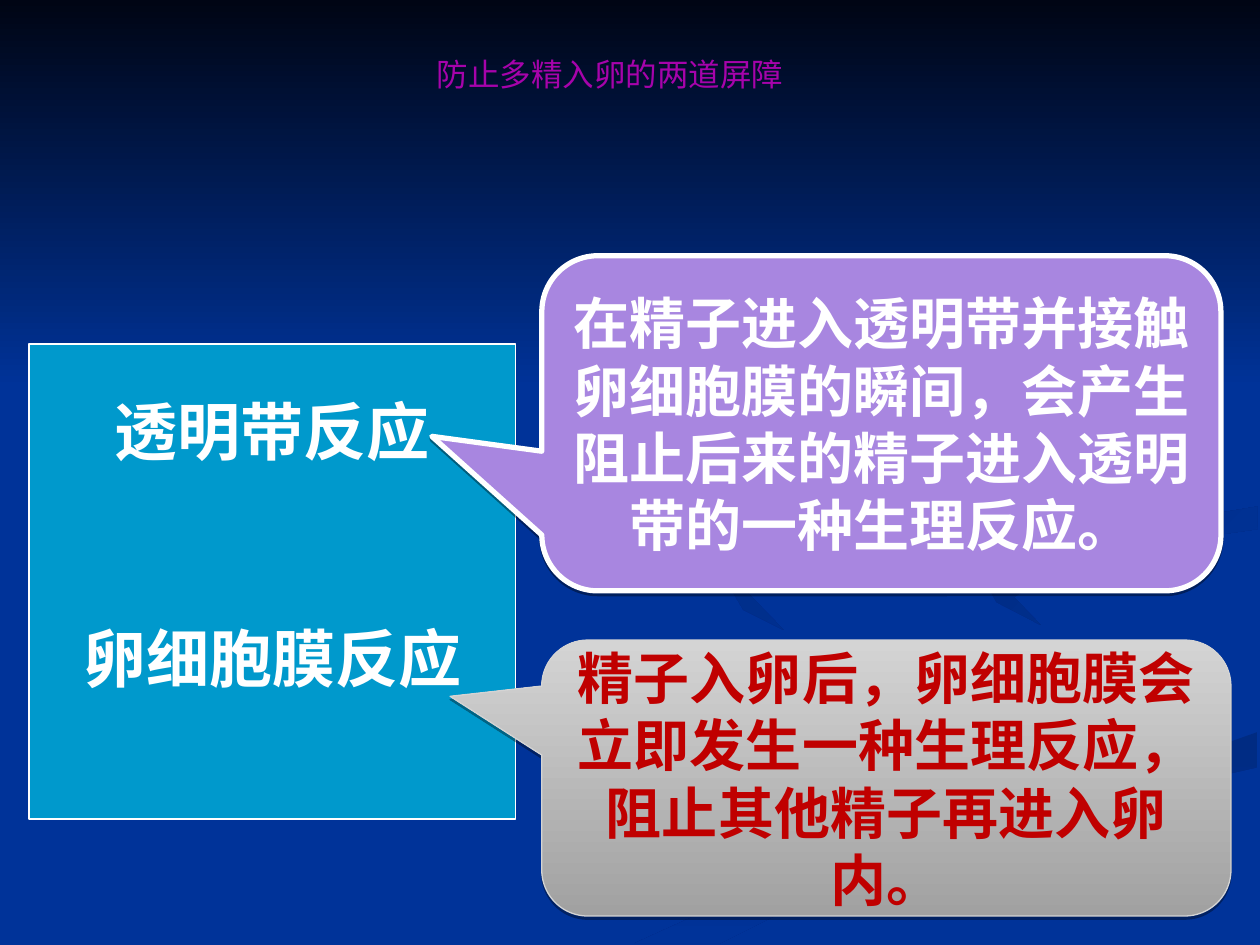
from lxml import etree
from pptx import Presentation
from pptx.dml.color import RGBColor
from pptx.enum.shapes import MSO_SHAPE
from pptx.enum.text import MSO_ANCHOR, PP_ALIGN
from pptx.oxml.ns import qn
from pptx.util import Inches, Pt

NAVY = RGBColor(0x00, 0x33, 0x99)
NIGHT = RGBColor(0x00, 0x05, 0x14)
DUSK = RGBColor(0x00, 0x2B, 0x82)
MAGENTA = RGBColor(0xA6, 0x03, 0xAB)
CYAN = RGBColor(0x00, 0x99, 0xCC)
LILAC = RGBColor(0xA8, 0x86, 0xE0)
GREY = RGBColor(0xA1, 0xA1, 0xA1)
SILVER = RGBColor(0xD4, 0xD4, 0xD4)
RED = RGBColor(0xC0, 0x00, 0x00)
WHITE = RGBColor(0xFF, 0xFF, 0xFF)

SANS = "Noto Sans CJK SC"
SERIF = "Times New Roman"

# Faint swooshes behind the content: outline and gradient angle
SWOOSHES = [
    ([(5.03, 7.49), (5.71, 7.49), (6.49, 7.1), (7.52, 6.72), (8.61, 6.4),
      (9.98, 6.09), (9.98, 5.81), (9.5, 5.98), (8.31, 6.29), (6.96, 6.69),
      (5.69, 7.19)], 270),
    ([(7.81, 4.6), (7.91, 4.78), (8.26, 4.96), (8.05, 4.74), (8.43, 4.48),
      (9.36, 4.29), (9.98, 4.2), (9.98, 4.02), (8.65, 4.24), (7.99, 4.42)], 315),
    ([(6.83, 4.3), (7.86, 4.12), (8.67, 3.84), (8.94, 3.44), (8.64, 2.91),
      (7.62, 2.33), (8.46, 2.79), (8.89, 3.35), (8.52, 3.74), (7.33, 4.04),
      (6.25, 4.26), (5.77, 4.62), (5.9, 4.84), (6.22, 5), (5.93, 4.7),
      (6.14, 4.48)], 315),
]


def write(shape, *lines, font=SERIF, size=32, color=WHITE, bold=True,
          line=1.2, gap=0, anchor=MSO_ANCHOR.MIDDLE, bottom=0.05):
    frame = shape.text_frame
    frame.word_wrap = True
    frame.vertical_anchor = anchor
    frame.margin_top, frame.margin_bottom = Inches(0.05), Inches(bottom)
    for i, words in enumerate(lines):
        para = frame.add_paragraph() if i else frame.paragraphs[0]
        para.alignment = PP_ALIGN.CENTER
        para.line_spacing = Pt(round(size * line, 1))
        # Keep closing marks inside the text area
        para._element.get_or_add_pPr().set("hangingPunct", "0")
        if i:
            para.space_before = Pt(gap)
        run = para.add_run()
        run.text = words
        run.font.name, run.font.size = font, Pt(size)
        run.font.bold, run.font.color.rgb = bold, color
        east = etree.SubElement(run.font._element, qn("a:ea"))
        east.set("typeface", SANS)


def blend(shape, start, end, angle):
    shape.fill.gradient()
    shape.fill.gradient_angle = angle
    for stop, color in zip(shape.fill.gradient_stops, (start, end)):
        stop.color.rgb = color


def box(slide, kind, place, fill=None, line=None, width=0.75):
    shape = slide.shapes.add_shape(kind, *map(Inches, place))
    shape.shadow.inherit = False
    if fill is not None:
        shape.fill.solid()
        shape.fill.fore_color.rgb = fill
    if line is None:
        shape.line.fill.background()
    else:
        shape.line.color.rgb = line
        shape.line.width = Pt(width)
    return shape


def shade(shape, dist, alpha):
    effects = shape._element.spPr.find(qn("a:effectLst"))
    outer = etree.SubElement(effects, qn("a:outerShdw"), blurRad="0",
                             dist=str(Pt(dist)), dir="5400000", rotWithShape="0")
    color = etree.SubElement(outer, qn("a:srgbClr"), val="000000")
    etree.SubElement(color, qn("a:alpha"), val=str(alpha * 1000))


def callout(slide, place, tip, shadow, **style):
    shape = box(slide, MSO_SHAPE.ROUNDED_RECTANGULAR_CALLOUT, place, **style)
    for i, value in enumerate((*tip, 0.167)):
        shape.adjustments[i] = value
    shade(shape, *shadow)
    return shape


def swoosh(slide, points, angle):
    spots = [(Inches(x), Inches(y)) for x, y in points]
    pen = slide.shapes.build_freeform(*spots[0])
    pen.add_line_segments(spots[1:], close=True)
    shape = pen.convert_to_shape()
    shape.shadow.inherit = False
    shape.line.fill.background()
    blend(shape, DUSK, NAVY, angle)


def scene(slide):
    slide.background.fill.solid()
    slide.background.fill.fore_color.rgb = NAVY
    for points, angle in SWOOSHES:
        swoosh(slide, points, angle)
    sky = box(slide, MSO_SHAPE.RECTANGLE, (0, 0, 10, 3.08))
    blend(sky, NIGHT, NAVY, 270)


def head(slide, words):
    title = slide.shapes.title
    title.left, title.top = Inches(1.14), Inches(0.36)
    title.width, title.height = Inches(7.4), Inches(1.5)
    write(title, words, font=SANS, size=18, color=MAGENTA, bold=False,
          line=1.3, anchor=MSO_ANCHOR.TOP)
    # Bring the title in front of the sky
    title._element.getparent().append(title._element)


def main():
    deck = Presentation()
    deck.slide_width, deck.slide_height = Inches(10), Inches(7.5)
    slide = deck.slides.add_slide(deck.slide_layouts[5])
    scene(slide)
    head(slide, "防止多精入卵的两道屏障")

    # The two barriers
    panel = box(slide, MSO_SHAPE.RECTANGLE, (0.23, 2.73, 3.86, 3.77), CYAN, WHITE)
    write(panel, "透明带反应", "卵细胞膜反应", size=36, gap=86.4, bottom=0.65)

    # What each barrier does
    zona = callout(slide, (4.3, 2.03, 5.39, 2.66), (-0.662, 0.039), (1.6, 38),
                   fill=LILAC, line=WHITE, width=3)
    write(zona, "在精子进入透明带并接触卵细胞膜的瞬间，会产生阻止后来的精子进入透明带的一种生理反应。")
    cell = callout(slide, (4.3, 5.08, 5.47, 2.19), (-0.633, -0.296), (1.8, 35),
                   line=SILVER)
    blend(cell, GREY, SILVER, 90)
    write(cell, "精子入卵后，卵细胞膜会立即发生一种生理反应，阻止其他精子再进入卵内。",
          color=RED)
    deck.save("out.pptx")


if __name__ == "__main__":
    main()
